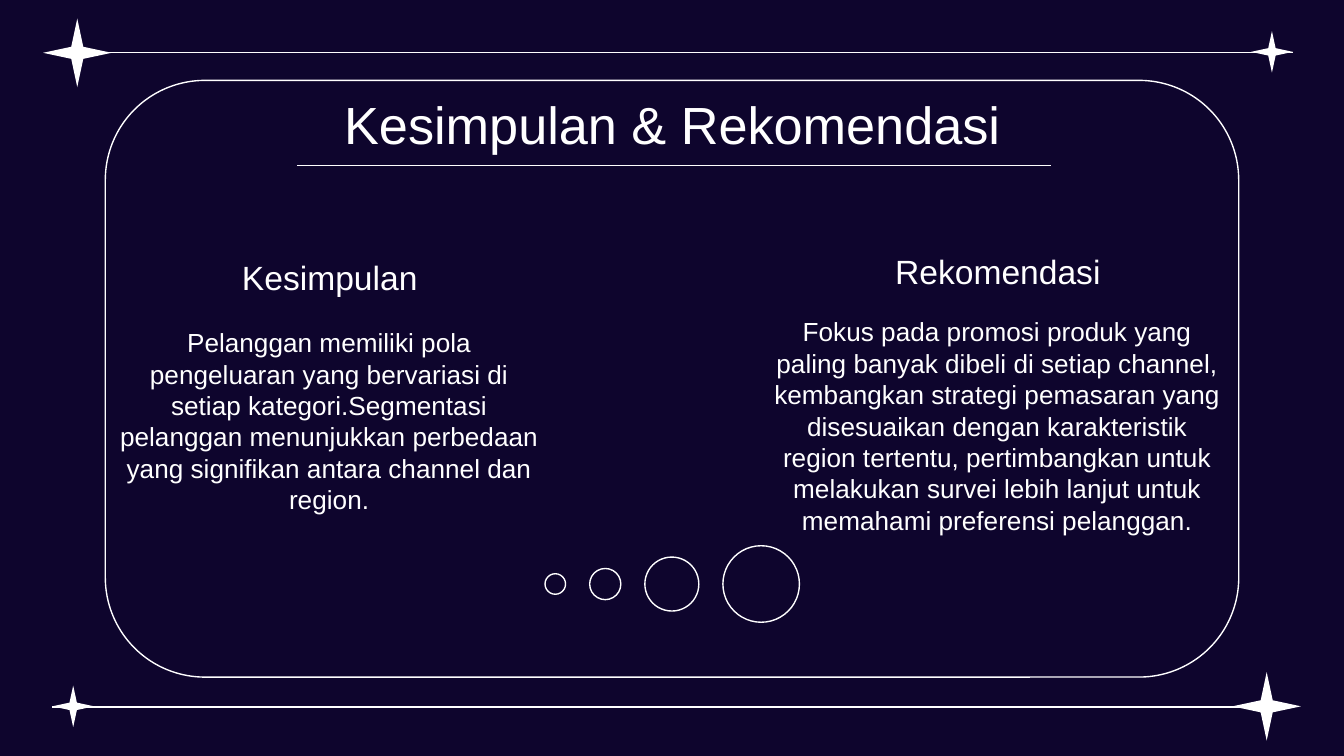
from lxml.etree import SubElement
from pptx import Presentation
from pptx.dml.color import RGBColor
from pptx.enum.shapes import MSO_CONNECTOR as Link, MSO_SHAPE as Kind
from pptx.enum.text import MSO_ANCHOR as Anchor, PP_ALIGN as Align
from pptx.oxml.ns import qn
from pptx.util import Pt

NIGHT = RGBColor(0x0E, 0x05, 0x2D)
WHITE = RGBColor(0xFF, 0xFF, 0xFF)

TITLE = "Kesimpulan & Rekomendasi"
SUMMARY = (
    "Pelanggan memiliki pola pengeluaran yang bervariasi di setiap "
    "kategori.Segmentasi pelanggan menunjukkan perbedaan yang signifikan "
    "antara channel dan region."
)
ADVICE = (
    "Fokus pada promosi produk yang paling banyak dibeli di setiap channel, "
    "kembangkan strategi pemasaran yang disesuaikan dengan karakteristik "
    "region tertentu, pertimbangkan untuk melakukan survei lebih lanjut "
    "untuk memahami preferensi pelanggan."
)

# text, box (left, top, width, height), size, anchor
TEXTS = [
    (TITLE, (56.2, 42.5, 607.6, 45.4), 28, Anchor.TOP),
    ("Kesimpulan", (80.6, 136.8, 192.2, 29.5), 18, Anchor.BOTTOM),
    (SUMMARY, (55.4, 167.8, 241.9, 85), 14, Anchor.TOP),
    ("Rekomendasi", (438.5, 133.9, 192.2, 29.5), 18, Anchor.BOTTOM),
    (ADVICE, (403.9, 162, 260.6, 160.6), 14, Anchor.TOP),
]

# start x, end x, y
RULES = [(42.5, 692.6, 28), (28.1, 677.5, 378.7), (159.1, 563, 88.8)]

# centre x, centre y, size
STARS = [
    (681.4, 27.8, 22.3),
    (41.4, 28.3, 36.7),
    (39.2, 378.4, 22.3),
    (678.6, 378.4, 36.7),
]

RINGS = [11, 16.7, 28.9, 41]
RING_LEFT, RING_MID, RING_GAP = 292, 312.9, 12.9


def add_form(slide, kind, box):
    form = slide.shapes.add_shape(kind, *map(Pt, box))
    form.shadow.inherit = False
    return form


def add_ring(slide, kind, box):
    """Add a shape that has an outline and no fill."""
    ring = add_form(slide, kind, box)
    ring.fill.background()
    ring.line.color.rgb = WHITE
    ring.line.width = Pt(0.75)
    return ring


def add_star(slide, x, y, size):
    star = add_form(slide, Kind.STAR_4_POINT,
                    (x - size / 2, y - size / 2, size, size))
    star.adjustments[0] = 0.125
    star.fill.solid()
    star.fill.fore_color.rgb = WHITE
    star.line.fill.background()


def add_rule(slide, start, end, y):
    rule = slide.shapes.add_connector(
        Link.STRAIGHT, Pt(start), Pt(y), Pt(end), Pt(y))
    rule.line.color.rgb = WHITE
    rule.line.width = Pt(0.75)
    SubElement(rule._element.spPr, qn("a:effectLst"))


def add_text(slide, text, box, size, anchor):
    frame = slide.shapes.add_textbox(*map(Pt, box)).text_frame
    form = {"word_wrap": True, "vertical_anchor": anchor}
    for side in ("left", "top", "right", "bottom"):
        form[f"margin_{side}"] = Pt(7.2)
    for name, value in form.items():
        setattr(frame, name, value)
    para = frame.paragraphs[0]
    para.alignment = Align.CENTER
    run = para.add_run()
    run.text = text
    for name, value in {"name": "Arial", "size": Pt(size)}.items():
        setattr(run.font, name, value)
    run.font.color.rgb = WHITE


def add_rings(slide):
    """Add the row of growing circles on one middle line."""
    left = RING_LEFT
    for size in RINGS:
        add_ring(slide, Kind.OVAL, (left, RING_MID - size / 2, size, size))
        left += size + RING_GAP


def main():
    deck = Presentation()
    deck.slide_width, deck.slide_height = Pt(720), Pt(405)
    slide = deck.slides.add_slide(deck.slide_layouts[6])
    slide.background.fill.solid()
    slide.background.fill.fore_color.rgb = NIGHT

    frame = add_ring(slide, Kind.ROUNDED_RECTANGLE, (56.4, 43.1, 607.2, 319.7))
    frame.adjustments[0] = 0.167
    for rule in RULES:
        add_rule(slide, *rule)
    for star in STARS:
        add_star(slide, *star)
    for item in TEXTS:
        add_text(slide, *item)
    add_rings(slide)
    deck.save("out.pptx")


if __name__ == "__main__":
    main()
